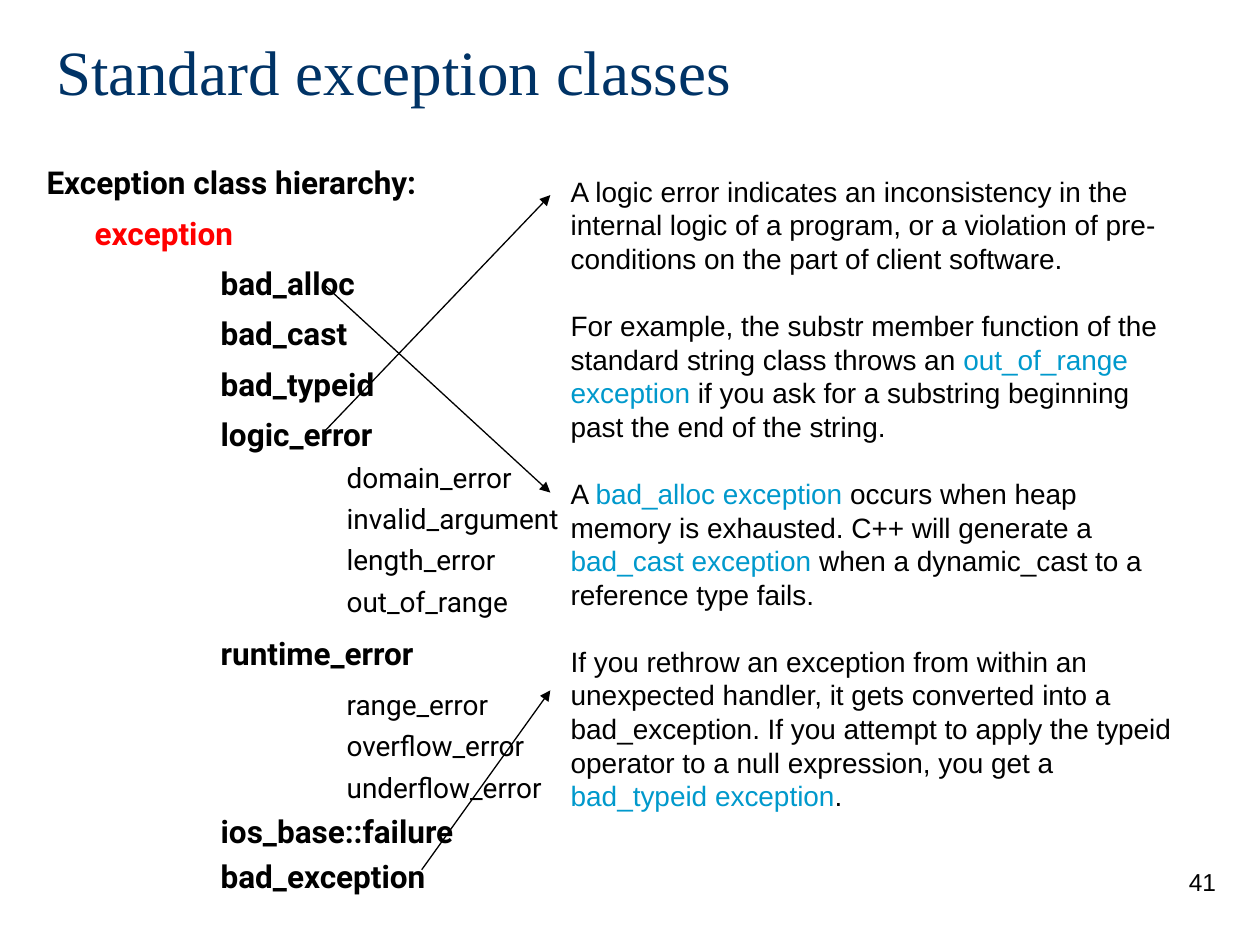
from pptx import Presentation
from pptx.dml.color import RGBColor
from pptx.enum.shapes import MSO_CONNECTOR
from pptx.enum.text import MSO_ANCHOR, PP_ALIGN
from pptx.oxml.ns import qn
from pptx.util import Pt
from lxml.etree import SubElement

BLACK = RGBColor(0x00, 0x00, 0x00)
NAVY = RGBColor(0x00, 0x33, 0x66)
RED = RGBColor(0xFF, 0x00, 0x00)
CYAN = RGBColor(0x00, 0x99, 0xCC)


class Deck:
    sans = "Arial"
    serif = "Times New Roman"
    tree = "Roboto"

    def __init__(self, width, height):
        self.prs = Presentation()
        self.prs.slide_width = Pt(width)
        self.prs.slide_height = Pt(height)
        self.slide = self.prs.slides.add_slide(self.prs.slide_layouts[6])

    def box(self, left, top, width, height, anchor=MSO_ANCHOR.TOP):
        shape = self.slide.shapes.add_textbox(
            Pt(left), Pt(top), Pt(width), Pt(height))
        frame = shape.text_frame
        frame.word_wrap = True
        frame.vertical_anchor = anchor
        return frame

    def line(self, frame, runs, font, size, color=BLACK, bold=False,
             first=False):
        para = frame.paragraphs[0] if first else frame.add_paragraph()
        para.font.name = font
        para.font.size = Pt(size)
        para.font.bold = bold
        for text, tint in runs:
            run = para.add_run()
            run.text = text
            run.font.color.rgb = tint or color
        return para

    def label(self, area, text, font, size, color=BLACK,
              align=PP_ALIGN.LEFT, anchor=MSO_ANCHOR.TOP):
        frame = self.box(*area, anchor)
        para = self.line(frame, [(text, None)], font, size, color, first=True)
        para.alignment = align
        return para

    def outline(self, area, items):
        frame = self.box(*area)
        for i, (text, indent, size, color, space, before) in enumerate(items):
            para = self.line(frame, [(text, None)], self.tree, size, color,
                             size == 18, i == 0)
            para.line_spacing = space
            para.space_before = Pt(before)
            props = para._p.get_or_add_pPr()
            props.set("marL", str(Pt(indent)))
            props.set("indent", "0")

    def prose(self, area, paras):
        frame = self.box(*area)
        for i, runs in enumerate(paras):
            para = self.line(frame, runs, self.sans, 16, first=i == 0)
            para.line_spacing = Pt(19.2)
            para.space_before = Pt(19.2 if i else 0)

    def arrow(self, start, end):
        link = self.slide.shapes.add_connector(
            MSO_CONNECTOR.STRAIGHT, *map(Pt, start + end))
        link.line.color.rgb = BLACK
        link.line.width = Pt(0.74)
        SubElement(link.line._get_or_add_ln(), qn("a:tailEnd"),
                   type="triangle")
        SubElement(link._element.spPr, qn("a:effectLst"))


deck = Deck(720, 540)

page = deck.label((552, 492, 150, 36), "41", deck.sans, 14,
                  align=PP_ALIGN.RIGHT)
page.space_before = Pt(8.8)


def node(text, space=1.1, before=5):
    return text, 99.5, 18, BLACK, space, before


def leaf(text, before=4.4):
    return text, 171.5, 16, BLACK, 1.0, before


deck.outline((19.5, 85.5, 600, 454), [
    ("Exception class hierarchy:", 0, 18, BLACK, 1.2, 4.5),
    ("exception", 27.5, 18, RED, 1.1, 5),
    *map(node, ["bad_alloc", "bad_cast", "bad_typeid", "logic_error"]),
    *map(leaf, ["domain_error", "invalid_argument", "length_error",
                "out_of_range"]),
    node("runtime_error", 1.2),
    leaf("range_error", 9),
    *map(leaf, ["overflow_error", "underflow_error"]),
    node("ios_base::failure", 1.0, 4.5),
    node("bad_exception", 1.0, 4.5),
])

deck.label((25, 15, 612, 50), "Standard exception classes", deck.serif, 36,
           NAVY, anchor=MSO_ANCHOR.MIDDLE)

deck.prose((319, 96, 364, 372), [
    [("A logic error indicates an inconsistency in the internal logic of a "
      "program, or a violation of pre-conditions on the part of client "
      "software.", None)],
    [("For example, the substr member function of the standard string class "
      "throws an ", None),
     ("out_of_range exception", CYAN),
     (" if you ask for a substring beginning past the end of the string.",
      None)],
    [("A ", None),
     ("bad_alloc exception", CYAN),
     (" occurs when heap memory is exhausted. C++ will generate a ", None),
     ("bad_cast exception", CYAN),
     (" when a dynamic_cast to a reference type fails.", None)],
    [("If you rethrow an exception from within an unexpected handler, it gets "
      "converted into a bad_exception. If you attempt to apply the typeid "
      "operator to a null expression, you get a ", None),
     ("bad_typeid exception", CYAN),
     (".", None)],
])

for start, end in [((184.5, 162), (314.5, 281.5)),
                   ((184.5, 247.5), (314.5, 111.5)),
                   ((241, 497), (314.5, 394.5))]:
    deck.arrow(start, end)

deck.prs.save("out.pptx")
